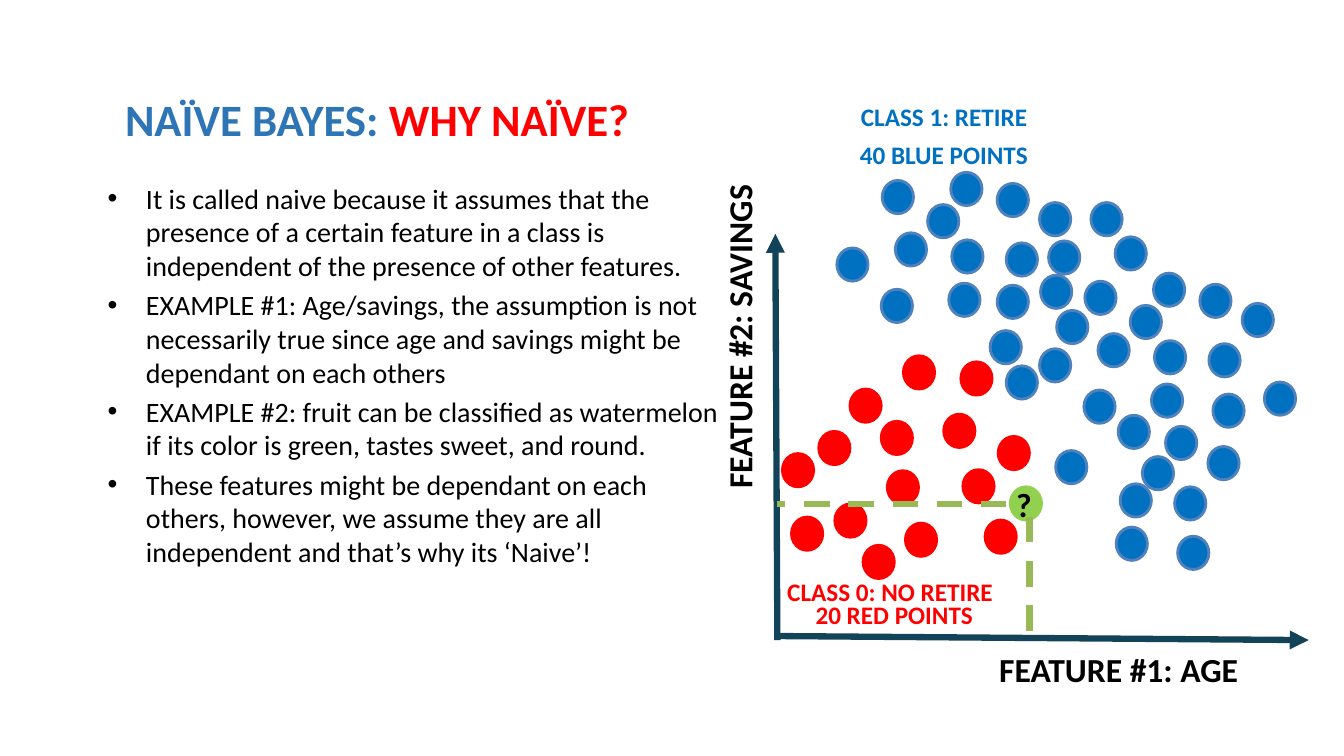
from lxml import etree
from pptx import Presentation
from pptx import util as u
from pptx.dml.color import RGBColor
from pptx.enum import dml, shapes, text
from pptx.oxml.ns import qn

COLORS = {
    "title": "2E75B6", "red": "FF0000", "blue": "0070C0", "blue_edge": "4F81BD",
    "green": "92D050", "guide": "98B955", "axis": "124359", "black": "000000",
}
POINT_W, POINT_H = 0.31, 0.33


def add_text(box, paragraphs, size, bold=True, **frame_format):
    """Add a text box; each paragraph is a list of (words, colour) runs."""
    label = slide.shapes.add_textbox(*map(u.Inches, box))
    frame = label.text_frame
    for name, value in {"word_wrap": True, **frame_format}.items():
        setattr(frame, name, value)
    for i, runs in enumerate(paragraphs):
        paragraph = frame.paragraphs[0] if i == 0 else frame.add_paragraph()
        for words, color in runs:
            run = paragraph.add_run()
            run.text = words
            font_format = {"name": "Calibri", "size": u.Pt(size), "bold": bold}
            for name, value in font_format.items():
                setattr(run.font, name, value)
            run.font.color.rgb = RGBColor.from_string(COLORS[color])
    return label


def add_line(start, end, color):
    """Add a thick straight line without a shadow."""
    line = slide.shapes.add_connector(
        shapes.MSO_CONNECTOR.STRAIGHT, *map(u.Inches, start + end))
    line.line.width = u.Pt(4.5)
    line.line.color.rgb = RGBColor.from_string(COLORS[color])
    etree.SubElement(line._element.spPr, qn("a:effectLst"))
    return line


deck = Presentation()
deck.slide_width, deck.slide_height = u.Inches(13.33), u.Inches(7.5)
slide = deck.slides.add_slide(deck.slide_layouts[6])

# Title and explanation
title = add_text(
    (1.17, 0.66, 8.34, 1.09),
    [[("NAÏVE BAYES: ", "title"), ("WHY NAÏVE?", "red")]], 32,
    vertical_anchor=text.MSO_ANCHOR.MIDDLE,
    margin_left=u.Inches(0.07), margin_right=u.Inches(0.07),
    margin_top=u.Inches(0.04), margin_bottom=u.Inches(0.04))
title.text_frame.paragraphs[0].line_spacing = 0.9

reasons = [
    "It is called naive because it assumes that the presence of a certain feature "
    "in a class is independent of the presence of other features. ",
    "EXAMPLE #1: Age/savings, the assumption is not necessarily true since age and "
    "savings might be dependant on each others",
    "EXAMPLE #2: fruit can be classified as watermelon if its color is green, "
    "tastes sweet, and round.",
    "These features might be dependant on each others, however, we assume they are "
    "all independent and that’s why its ‘Naive’!",
]
explanation = add_text((0.97, 1.75, 6.27, 4.74),
                       [[(reason, "black")] for reason in reasons], 20, bold=False)
for paragraph in explanation.text_frame.paragraphs:
    paragraph.space_before = u.Pt(4)
    properties = paragraph._p.get_or_add_pPr()
    properties.set("marL", str(u.Inches(0.38)))
    properties.set("indent", str(-u.Inches(0.38)))
    etree.SubElement(properties, qn("a:buFont"), typeface="Arial")
    etree.SubElement(properties, qn("a:buChar"), char="•")

# Axes
for start, end in [((7.71, 6.31), (12.98, 6.35)), ((7.71, 6.35), (7.69, 2.32))]:
    axis = add_line(start, end, "axis")
    etree.SubElement(axis.line._get_or_add_ln(), qn("a:tailEnd"), type="triangle")

age = add_text((9.05, 6.39, 4.09, 0.5), [[("FEATURE #1: AGE", "black")]], 24)
savings = add_text((5.67, 3.09, 3.32, 0.5), [[("FEATURE #2: SAVINGS", "black")]], 24,
                   word_wrap=False)
savings.rotation = 270
for axis_name in (age, savings):
    axis_name.text_frame.paragraphs[0].alignment = text.PP_ALIGN.CENTER

# Data points: fill, edge, top-left corners
no_retire = [
    (8.28, 5), (8.8, 4.67), (9.77, 5.16), (8.12, 4.28), (8.74, 4.18), (9.9, 4.33),
    (8.56, 5.41), (8.96, 3.53), (9.53, 3.59), (9.36, 4.11), (8.43, 3.86),
    (9.55, 4.66), (8.98, 5.19), (7.85, 5.13), (7.76, 4.5),
]
retire = [
    (11.06, 2.35), (10.4, 2.39), (11.44, 2.71), (10.31, 3.46), (10.89, 3.31),
    (10.75, 3.87), (11.45, 3.38), (10.76, 2.79), (11.42, 3.81), (11.9, 2.82),
    (11.99, 3.41), (12.03, 3.91), (12.32, 3.01), (11.21, 3.03), (11.09, 4.12),
    (10.47, 4.47), (11.11, 4.8), (11.07, 5.23), (11.56, 4.23), (11.65, 4.83),
    (11.68, 5.32), (11.98, 4.43), (11.33, 4.53), (10.82, 2.01), (12.54, 3.79),
    (9.43, 1.71), (8.3, 2.46), (8.88, 2.31), (8.74, 2.87), (9.44, 2.38),
    (8.75, 1.79), (9.41, 2.81), (9.89, 1.82), (9.98, 2.41), (10.31, 2.01),
    (9.2, 2.03), (9.89, 2.83), (10.32, 2.73), (9.82, 3.28), (10.48, 3.08),
    (9.98, 3.63),
]
new_customer = [(10.02, 4.83)]
for fill, edge, corners in [("red", "red", no_retire), ("blue", "blue_edge", retire),
                            ("green", "green", new_customer)]:
    for left, top in corners:
        point = slide.shapes.add_shape(
            shapes.MSO_SHAPE.OVAL, *map(u.Inches, (left, top, POINT_W, POINT_H)))
        point.shadow.inherit = False
        point.fill.solid()
        point.fill.fore_color.rgb = RGBColor.from_string(COLORS[fill])
        point.line.color.rgb = RGBColor.from_string(COLORS[edge])
        point.line.width = u.Pt(2)

# Class labels and the unknown point
for box, words, size, color in [
    ((9.98, 4.75, 0.36, 0.5), "?", 24, "black"),
    ((8.43, 1.33, 1.91, 0.4), "40 BLUE POINTS", 18, "blue"),
    ((7.99, 5.9, 1.78, 0.4), "20 RED POINTS", 18, "red"),
    ((8.44, 0.96, 1.87, 0.4), "CLASS 1: RETIRE", 18, "blue"),
    ((7.71, 5.67, 2.26, 0.4), "CLASS 0: NO RETIRE", 18, "red"),
]:
    add_text(box, [[(words, color)]], size, word_wrap=False)

# Guides from the unknown point to the axes
for start, end in [((10.21, 5.13), (10.21, 6.31)), ((9.98, 5), (7.71, 5))]:
    add_line(start, end, "guide").line.dash_style = dml.MSO_LINE.DASH

deck.save("out.pptx")
